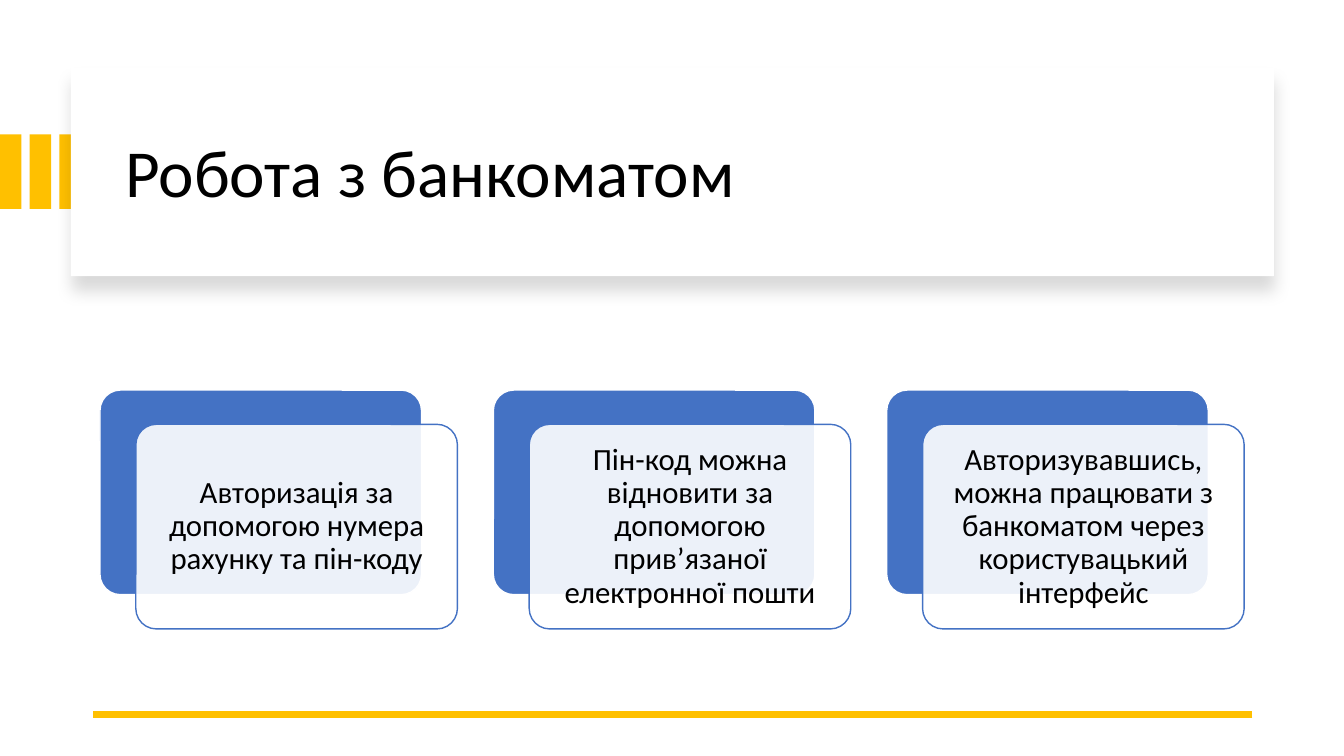
import pptx
import pptx.dml.color
import pptx.enum.shapes
import pptx.enum.text
import pptx.oxml
import pptx.oxml.ns
import pptx.util

SHAPE = pptx.enum.shapes.MSO_SHAPE
ALIGN = pptx.enum.text.PP_ALIGN
COLS, ROWS = 160, 90
GOLD, BLUE, WHITE, BLACK = "FFC000", "4472C4", "FFFFFF", "000000"
STEPS = (
    "Авторизація за допомогою нумера рахунку та пін-коду",
    "Пін-код можна відновити за допомогою прив’язаної електронної пошти",
    "Авторизувавшись, можна працювати з банкоматом через користувацький інтерфейс",
)


def tint(code):
    return pptx.dml.color.RGBColor.from_string(code)


def node(tag, inner=""):
    space = pptx.oxml.ns.nsdecls("a")
    return pptx.oxml.parse_xml(f"<a:{tag} {space}>{inner}</a:{tag}>")


class Deck:
    """Draws on one slide; lengths are grid columns and rows."""

    font = "Calibri"

    def __init__(self):
        self.show = pptx.Presentation()
        self.show.slide_width = pptx.util.Inches(13.33)
        self.show.slide_height = pptx.util.Inches(7.5)
        self.slide = self.show.slides.add_slide(self.show.slide_layouts[5])

    def across(self, cols):
        return round(self.show.slide_width * cols / COLS)

    def down(self, rows):
        return round(self.show.slide_height * rows / ROWS)

    def place(self, left, top, width, height):
        return (self.across(left), self.down(top),
                self.across(width), self.down(height))

    def group(self):
        return self.slide.shapes.add_group_shape().shapes

    def box(self, home, area, fill, line=None, kind=SHAPE.RECTANGLE):
        box = home.add_shape(kind, *self.place(*area))
        box.shadow.inherit = False
        box.fill.solid()
        box.fill.fore_color.rgb = tint(fill)
        if line:
            box.line.color.rgb = tint(line)
            box.line.width = pptx.util.Pt(1)
        else:
            box.line.fill.background()
        return box

    def fade(self, box, share):
        """Make the fill let the background through; share is its opacity."""
        color = box.element.spPr.find(".//" + pptx.oxml.ns.qn("a:srgbClr"))
        alpha = node("alpha")
        alpha.set("val", str(share * 1000))
        color.append(alpha)

    def shade(self, box):
        """Cast a soft shadow below the box."""
        old = box.element.spPr.find(pptx.oxml.ns.qn("a:effectLst"))
        blur, gap = pptx.util.Pt(11), pptx.util.Pt(10)
        new = node("effectLst", (
            f'<a:outerShdw blurRad="{blur}" dist="{gap}" dir="5400000" '
            f'algn="t" rotWithShape="0"><a:srgbClr val="{BLACK}">'
            '<a:alpha val="15000"/></a:srgbClr></a:outerShdw>'))
        box.element.spPr.replace(old, new)

    def label(self, frame, text, size, align):
        frame.word_wrap = True
        frame.auto_size = pptx.enum.text.MSO_AUTO_SIZE.NONE
        frame.vertical_anchor = pptx.enum.text.MSO_ANCHOR.MIDDLE
        para = frame.paragraphs[0]
        para.alignment = align
        para.line_spacing = 0.9
        run = para.add_run()
        run.text = text
        run.font.name = self.font
        run.font.size = pptx.util.Pt(size)
        run.font.color.rgb = tint(BLACK)

    def title(self, area, text):
        title = self.slide.shapes.title
        title.left, title.top, title.width, title.height = self.place(*area)
        self.label(title.text_frame, text, 48, ALIGN.LEFT)
        # Bring the title in front of its panel
        title.element.getparent().append(title.element)

    def rule(self, start, end, row):
        line = self.slide.shapes.add_connector(
            pptx.enum.shapes.MSO_CONNECTOR.STRAIGHT,
            self.across(start), self.down(row),
            self.across(end), self.down(row))
        line.line.color.rgb = tint(GOLD)
        line.line.width = pptx.util.Pt(4.5)
        line.element.spPr.append(node("effectLst"))

    def card(self, home, left, top, text):
        """Draw a blue back plate and a shifted front plate with text."""
        width, height = 38.28, 24.36
        kind = SHAPE.ROUNDED_RECTANGLE
        back = self.box(home, (left, top, width, height), BLUE, WHITE, kind)
        front = self.box(home, (left + 4.27, top + 4.08, width, height),
                         WHITE, BLUE, kind)
        back.adjustments[0] = front.adjustments[0] = 0.1
        self.fade(front, 90)
        frame = front.text_frame
        frame.margin_left = frame.margin_right = pptx.util.Inches(0.09)
        frame.margin_top = frame.margin_bottom = pptx.util.Inches(0.09)
        self.label(frame, text, 22, ALIGN.CENTER)


def main():
    deck = Deck()
    bars = deck.group()
    for i in range(3):
        deck.box(bars, (3.54 * i, 16, 2.56, 8.88), GOLD)
    panel = deck.box(deck.slide.shapes, (8.45, 8.04, 143.2, 24.84), WHITE)
    deck.shade(panel)
    deck.title((13.68, 10.68, 133.6, 20.4), "Робота з банкоматом")
    deck.rule(149.08, 11.04, 85.08)
    cards = deck.group()
    for i, text in enumerate(STEPS):
        deck.card(cards, 11.9 + 46.83 * i, 46.44, text)
    deck.show.save("out.pptx")


if __name__ == "__main__":
    main()
